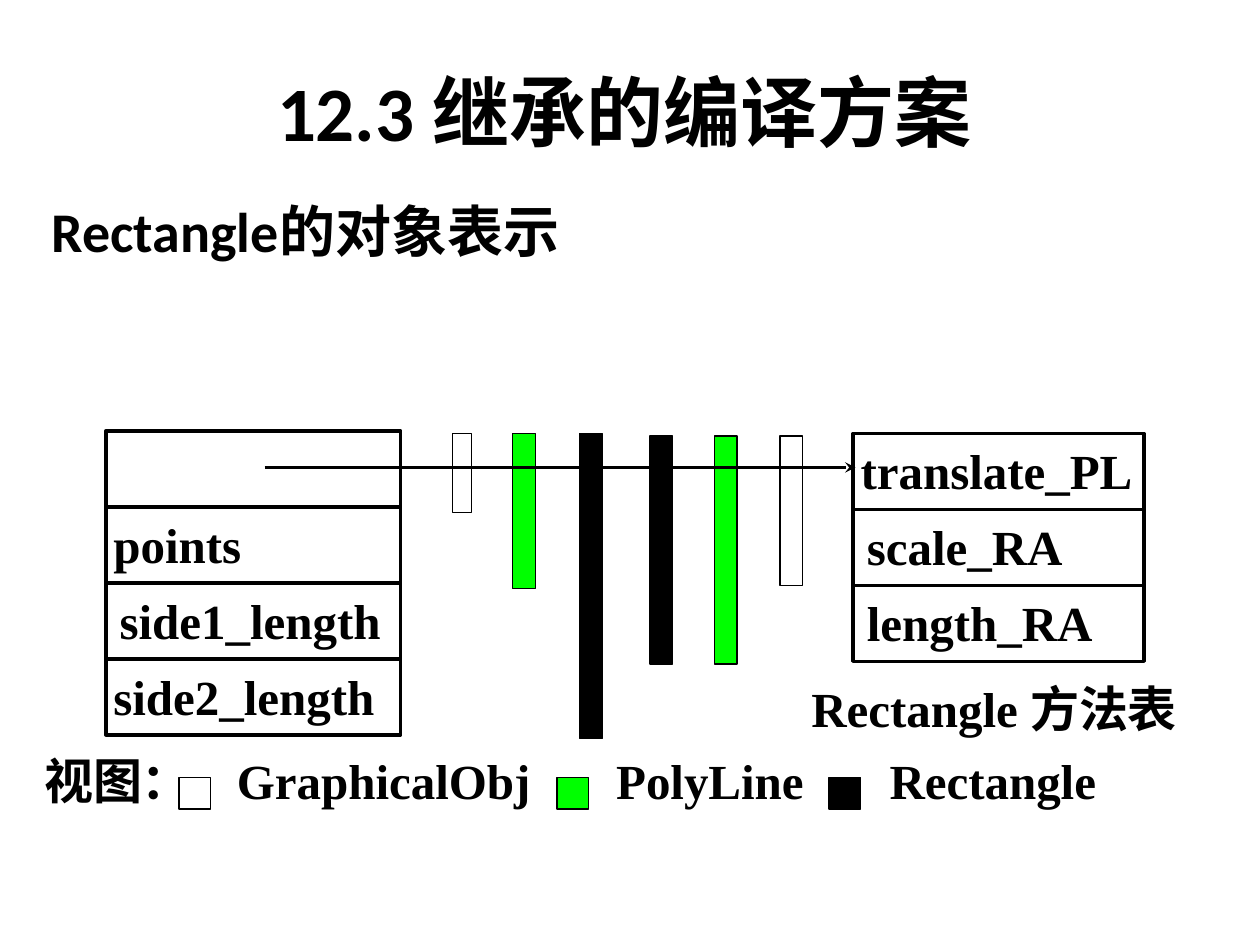
"""Build the slide on the object layout and method table of Rectangle."""
import pptx
import pptx.dml.color
import pptx.enum.shapes
import pptx.enum.text
import pptx.oxml
import pptx.oxml.ns
import pptx.util

COLORS = {"paper": "FFFFFF", "ink": "000000", "polyline": "00FF00"}
HAN_FONT = "Noto Sans CJK SC"
SERIF = "Times New Roman"
ALIGN = pptx.enum.text.PP_ALIGN
ANCHOR = pptx.enum.text.MSO_ANCHOR

presentation = pptx.Presentation()
presentation.slide_width = pptx.util.Inches(10)
presentation.slide_height = pptx.util.Inches(7.5)
slide = presentation.slides.add_slide(presentation.slide_layouts[6])
slide.background.fill.solid()
slide.background.fill.fore_color.rgb = pptx.dml.color.RGBColor.from_string(COLORS["paper"])
UNIT = presentation.slide_width / 100
ROW = 6.03


def add_box(left, top, width, height, fill=None, weight=None):
    place = [round(UNIT * value) for value in (left, top, width, height)]
    if weight is None:
        return slide.shapes.add_textbox(*place)
    shape = slide.shapes.add_shape(pptx.enum.shapes.MSO_SHAPE.RECTANGLE, *place)
    shape.shadow.inherit = False
    shape.line.color.rgb = pptx.dml.color.RGBColor.from_string(COLORS["ink"])
    shape.line.width = pptx.util.Pt(weight)
    if fill:
        shape.fill.solid()
        shape.fill.fore_color.rgb = pptx.dml.color.RGBColor.from_string(COLORS[fill])
    else:
        shape.fill.background()
    return shape


def write_text(shape, runs, size, font, insets, align=ALIGN.LEFT, anchor=ANCHOR.TOP, spacing=1.0):
    frame = shape.text_frame
    frame.word_wrap = True
    frame.vertical_anchor = anchor
    frame.margin_left, frame.margin_top, frame.margin_right, frame.margin_bottom = [
        round(UNIT * inset) for inset in insets
    ]
    paragraph = frame.paragraphs[0]
    paragraph.alignment = align
    paragraph.line_spacing = spacing
    for text in runs:
        run = paragraph.add_run()
        run.text = text
        run.font.size = pptx.util.Pt(size)
        run.font.bold = True
        run.font.name = font
        run.font.color.rgb = pptx.dml.color.RGBColor.from_string(COLORS["ink"])
        east_asian = pptx.oxml.parse_xml(
            f'<a:ea {pptx.oxml.ns.nsdecls("a")} typeface="{HAN_FONT}"/>'
        )
        run.font._element.find(pptx.oxml.ns.qn("a:latin")).addnext(east_asian)
    return paragraph


title = add_box(3.3, 2.5, 92.5, 12.5)
write_text(title, ["12.3\u2002".replace("\u2002", " "), "继承的编译方案"], 44, "Calibri",
           (1, 0.5, 1, 0.5), ALIGN.CENTER, ANCHOR.MIDDLE)
heading = add_box(3.1, 15.7, 93.7, 55.1)
write_text(heading, ["Rectangle", "的对象表示"], 32, "Calibri", (1, 0.5, 1, 0.5), spacing=0.9)

tables = [
    (8.4, 34.2, 23.4, [("", 0), ("points", 0.6), ("side1_length", 1.1), ("side2_length", 0.6)]),
    (67.7, 34.4, 23.1, [("translate_PL", 0.6), ("scale_RA", 1.1), ("length_RA", 1.1)]),
]
for left, top, width, fields in tables:
    for index, (field, indent) in enumerate(fields):
        cell = add_box(left, top + index * ROW, width, ROW, weight=2)
        if field:
            write_text(cell, [field], 28, SERIF, (indent, 0.6, 0, 0.1))

view_bars = [
    (35.9, 34.4, 1.5, 6.3, "paper"),
    (40.7, 34.4, 1.8, 12.3, "polyline"),
    (46, 34.4, 1.8, 24.2, "ink"),
    (51.6, 34.6, 1.8, 18.1, "ink"),
    (56.7, 34.6, 1.8, 18.1, "polyline"),
    (61.9, 34.6, 1.8, 11.9, "paper"),
]
for left, top, width, height, color in view_bars:
    add_box(left, top, width, height, color, 0.75)

pointer = slide.shapes.add_connector(
    pptx.enum.shapes.MSO_CONNECTOR.STRAIGHT,
    *[round(UNIT * value) for value in (21, 37.1, 67.9, 37.1)],
)
pointer.line.color.rgb = pptx.dml.color.RGBColor.from_string(COLORS["ink"])
pointer.line.width = pptx.util.Pt(2)
pointer.line._get_or_add_ln().append(
    pptx.oxml.parse_xml(f'<a:tailEnd {pptx.oxml.ns.nsdecls("a")} type="stealth"/>')
)
pointer._element.spPr.append(
    pptx.oxml.parse_xml(f'<a:effectLst {pptx.oxml.ns.nsdecls("a")}/>')
)

legend_items = [
    ("GraphicalObj", 14.2, 18.8, "paper"),
    ("PolyLine", 44.2, 48.9, "polyline"),
    ("Rectangle", 65.8, 70.6, "ink"),
]
legend_left = 3.3
legend = add_box(legend_left, 60, 92.5, 5.8)
tab_stops = "".join(
    f'<a:tab pos="{round(UNIT * (text_left - legend_left - 0.2))}" algn="l"/>'
    for name, swatch_left, text_left, color in legend_items
)
legend.text_frame.paragraphs[0]._p.get_or_add_pPr().append(
    pptx.oxml.parse_xml(f'<a:tabLst {pptx.oxml.ns.nsdecls("a")}>{tab_stops}</a:tabLst>')
)
legend_runs = ["视图："] + [f"\t{item[0]}" for item in legend_items]
write_text(legend, legend_runs, 28, SERIF, (0.2, 0.1, 0.2, 0.1), spacing=0.9)
for name, swatch_left, text_left, color in legend_items:
    add_box(swatch_left, 61.7, 2.5, 2.5, color, 0.75)

caption = add_box(64.2, 54.3, 31.7, 5.2)
write_text(caption, ["Rectangle ", "方法表"], 28, SERIF, (0.2, 0.1, 0.2, 0.1), spacing=0.9)

presentation.save("out.pptx")
